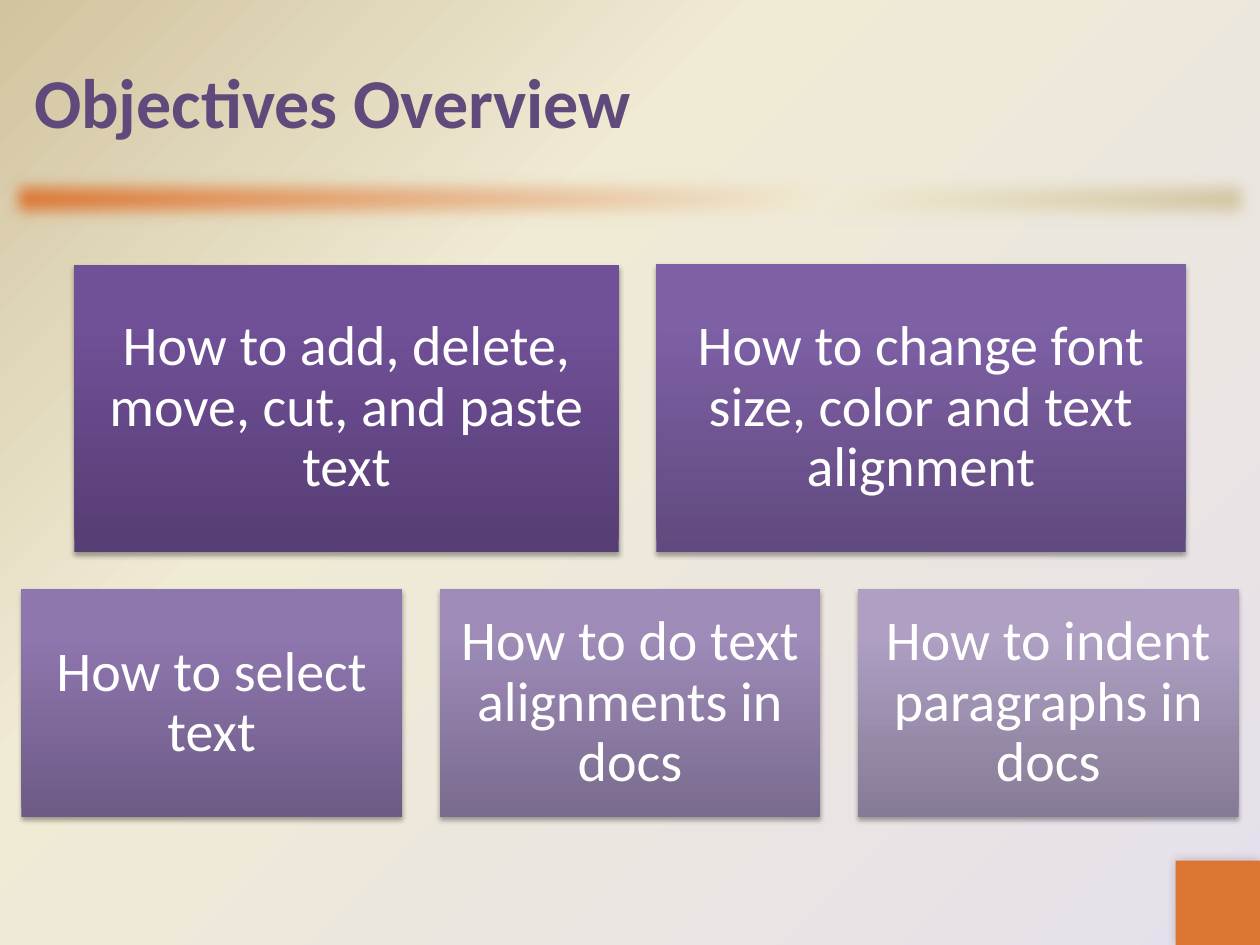
from lxml import etree
from pptx import Presentation
from pptx import util as u
from pptx.dml.color import RGBColor
from pptx.enum import shapes, text
from pptx.oxml.ns import qn

COLORS = {
    "title": "604A7B", "label": "FFFFFF", "accent": "DB7531",
    "lavender": "E6E0EC", "cream": "F0EBD5", "sand": "D1C39F", "shadow": "000000",
}
FONT = "Calibri"
SLIDE_W, SLIDE_H = 10, 7.5
GAP = 0.3
INSET = 0.13
TITLE = "Objectives Overview"

# Each row: vertical centre, then cards as (label, width, height, gradient bottom to top)
ROWS = [
    (3.24, [
        ("How to add, delete, move, cut, and paste text", 4.32, 2.28,
         ("563D74", "705097", "704F99")),
        ("How to change font size, color and text alignment", 4.2, 2.29,
         ("614A7F", "7E60A5", "7F60A7")),
    ]),
    (5.58, [
        ("How to select text", 3.02, 1.81, ("6D5B86", "8E76AE", "8E75B0")),
        ("How to do text alignments in docs", 3.02, 1.81, ("796B8E", "9E8BB8", "9E8BBA")),
        ("How to indent paragraphs in docs", 3.02, 1.81, ("867B96", "AE9FC3", "AE9FC4")),
    ]),
]


def add_xml(parent, tag, **attributes):
    values = {name: str(value) for name, value in attributes.items()}
    return etree.SubElement(parent, qn(tag), values)


def set_gradient(fill, owner, colors, middle, angle=None):
    """Three-stop gradient; without an angle it spreads from the bottom right corner."""
    fill.gradient()
    gradient = next(owner.iter(qn("a:gradFill")))
    gradient.clear()
    gradient.set("rotWithShape", "1")
    stops = add_xml(gradient, "a:gsLst")
    for position, color in zip((0, middle, 100), colors):
        stop = add_xml(stops, "a:gs", pos=position * 1000)
        add_xml(stop, "a:srgbClr", val=color)
    if angle is None:
        spread = add_xml(gradient, "a:path", path="circle")
        add_xml(spread, "a:fillToRect", l=100000, t=100000)
    else:
        add_xml(gradient, "a:lin", ang=angle * 60000, scaled=0)


def add_effect(shape, tag, **attributes):
    shape.shadow.inherit = False
    effects = shape.element.spPr.find(qn("a:effectLst"))
    return add_xml(effects, tag, **attributes)


def add_shadow(shape, opacity, blur, distance, angle):
    shadow = add_effect(shape, "a:outerShdw", blurRad=u.Pt(blur), dist=u.Pt(distance),
                        dir=angle * 60000, algn="ctr", rotWithShape=0)
    color = add_xml(shadow, "a:srgbClr", val=COLORS["shadow"])
    add_xml(color, "a:alpha", val=opacity * 1000)


def add_rectangle(slide, left, top, width, height):
    box = slide.shapes.add_shape(
        shapes.MSO_SHAPE.RECTANGLE, *map(u.Inches, (left, top, width, height)))
    box.line.fill.background()
    return box


def write(frame, words, size, color, align, bold=False):
    frame.word_wrap = True
    frame.auto_size = text.MSO_AUTO_SIZE.NONE
    frame.vertical_anchor = text.MSO_ANCHOR.MIDDLE
    para = frame.paragraphs[0]
    para.alignment = align
    span = para.add_run()
    span.text = words
    span.font.name = FONT
    span.font.size = u.Pt(size)
    span.font.bold = bold
    span.font.color.rgb = RGBColor.from_string(COLORS[color])
    return para


def add_card(slide, label, left, top, width, height, colors):
    card = add_rectangle(slide, left, top, width, height)
    set_gradient(card.fill, card.element, colors, 80, 270)
    add_shadow(card, 35, 3.1, 1.8, 90)
    frame = card.text_frame
    frame.margin_left = frame.margin_right = u.Inches(INSET)
    frame.margin_top = frame.margin_bottom = u.Inches(INSET)
    para = write(frame, label, 32, "label", text.PP_ALIGN.CENTER)
    para.line_spacing = 0.9


def main():
    deck = Presentation()
    deck.slide_width, deck.slide_height = u.Inches(SLIDE_W), u.Inches(SLIDE_H)
    slide = deck.slides.add_slide(deck.slide_layouts[5])
    set_gradient(slide.background.fill, slide.element,
                 [COLORS[name] for name in ("lavender", "cream", "sand")], 65)

    title = slide.shapes.title
    title.left, title.top, title.width, title.height = map(u.Inches, (0.17, 0.17, 9.67, 1.25))
    write(title.text_frame, TITLE, 40, "title", text.PP_ALIGN.LEFT, bold=True)

    divider = add_rectangle(slide, 0, 1.33, SLIDE_W, 0.5)
    set_gradient(divider.fill, divider.element,
                 [COLORS[name] for name in ("accent", "cream", "sand")], 65, 45)
    add_effect(divider, "a:softEdge", rad=u.Pt(10))

    side = 0.67
    corner = add_rectangle(slide, SLIDE_W - side, SLIDE_H - side, side, side)
    corner.fill.solid()
    corner.fill.fore_color.rgb = RGBColor.from_string(COLORS["accent"])
    add_shadow(corner, 20, 6, 0, 225)

    for middle, cards in ROWS:
        row_width = sum(card[1] for card in cards) + GAP * (len(cards) - 1)
        left = (SLIDE_W - row_width) / 2
        for label, width, height, colors in cards:
            add_card(slide, label, left, middle - height / 2, width, height, colors)
            left += width + GAP

    deck.save("out.pptx")


if __name__ == "__main__":
    main()
